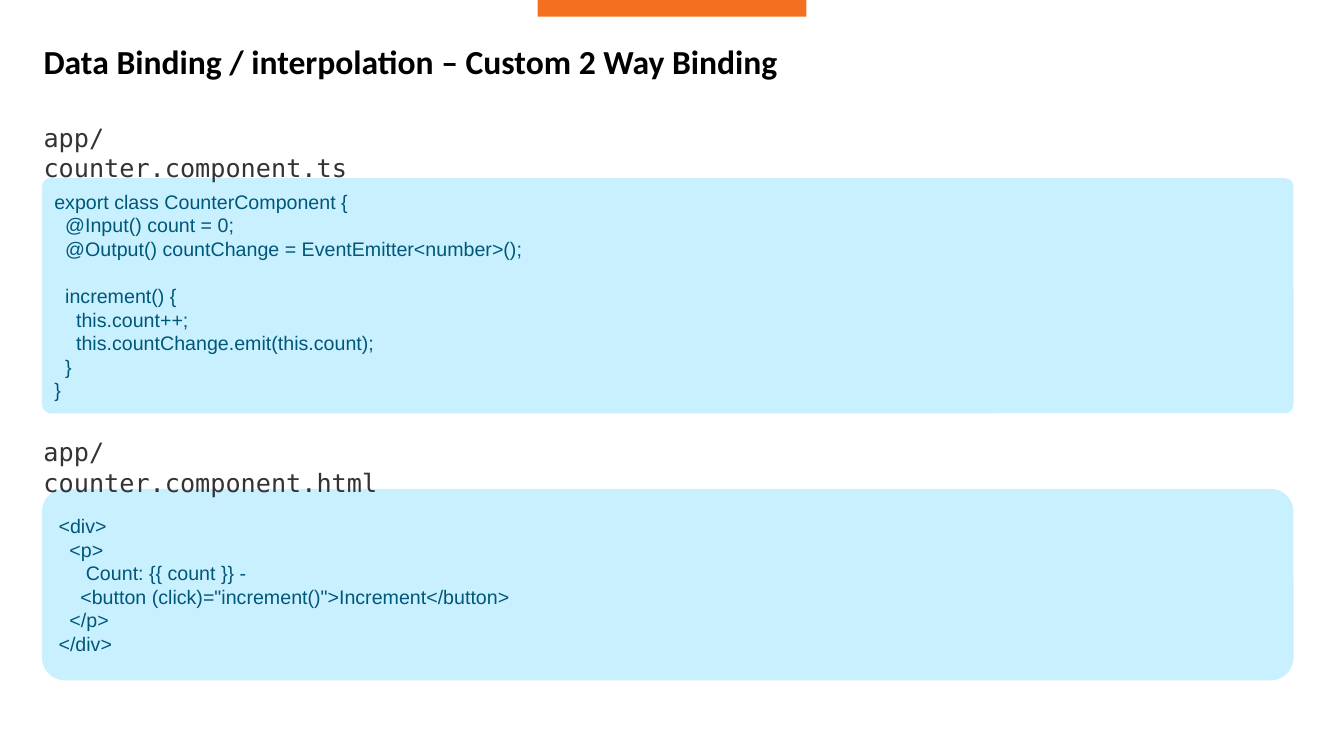
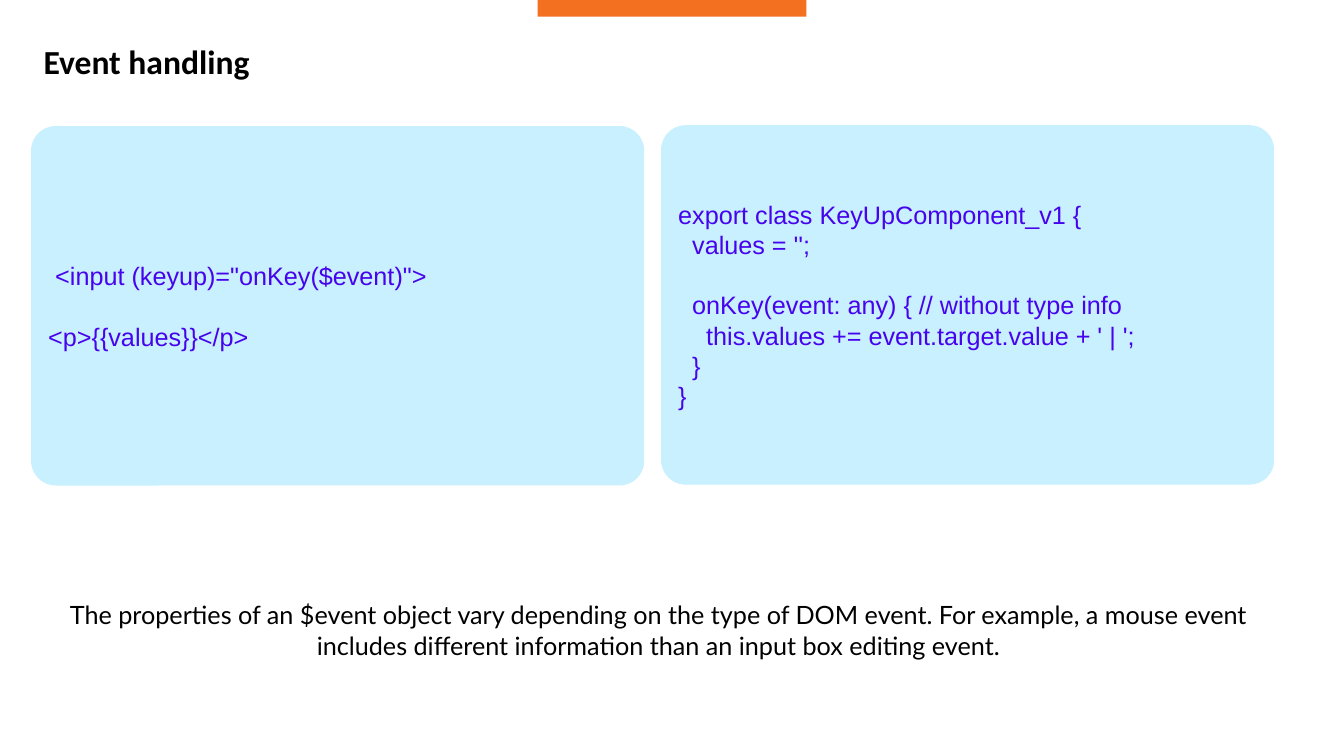
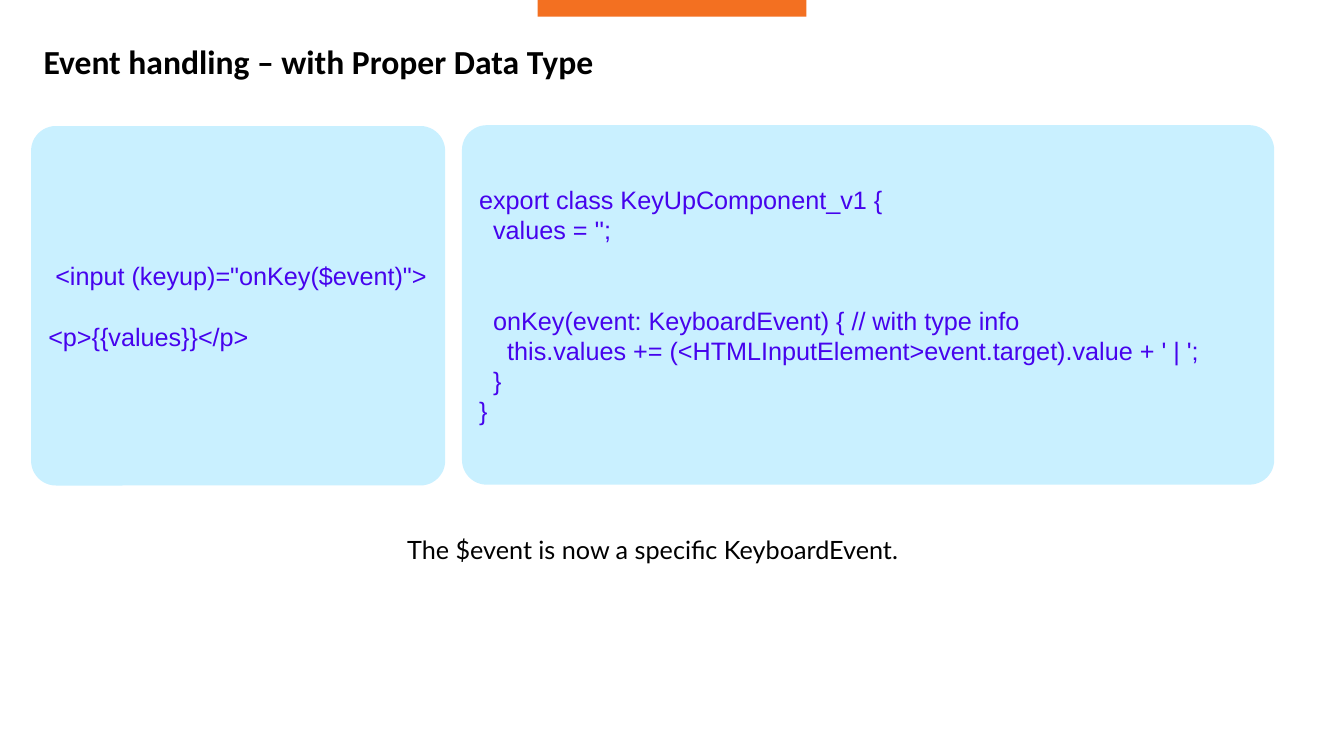
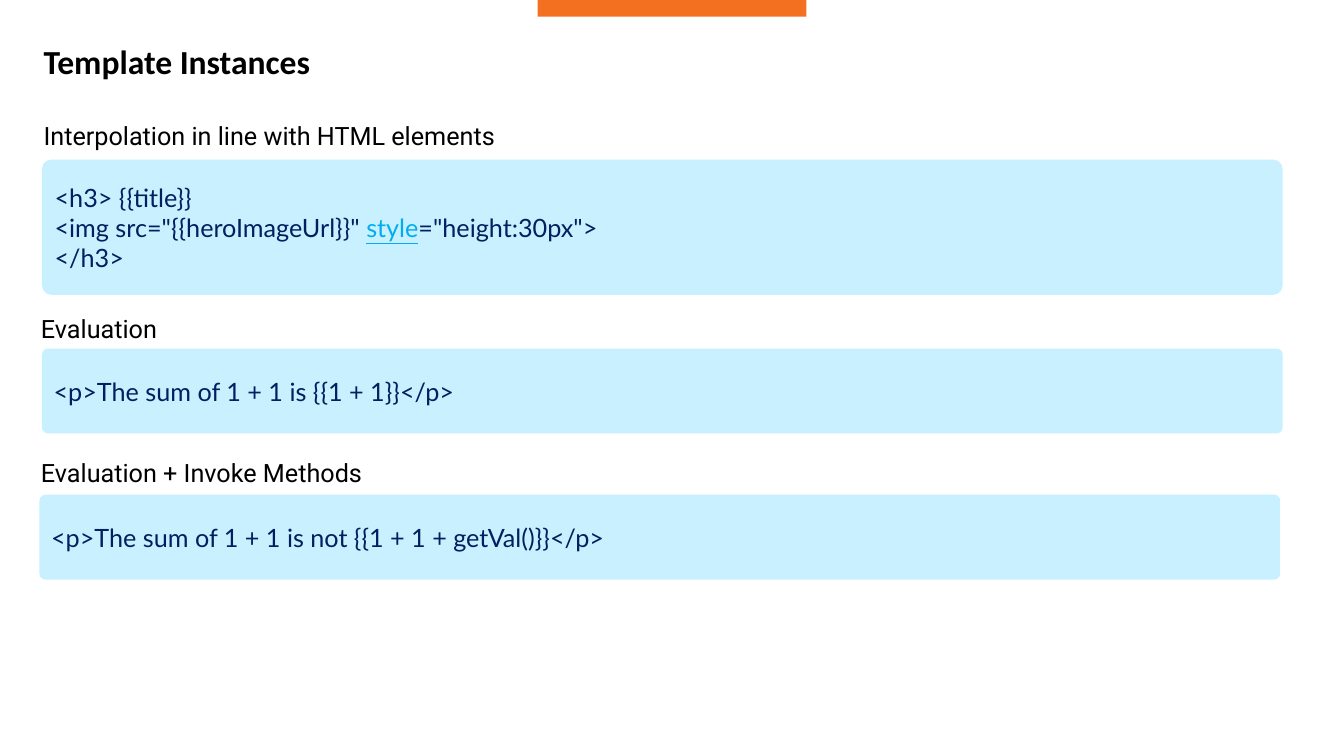
from pptx import Presentation
from pptx.dml.color import RGBColor
from pptx.enum.shapes import MSO_SHAPE
from pptx.enum.text import MSO_ANCHOR, PP_ALIGN
from pptx.util import Inches, Pt

# Grid of 160 columns by 90 rows, each cell a twelfth of an inch
COLS, ROWS = 160, 90
CELL = Inches(1) // 12
COLORS = {"band": "F37021", "card": "C9F0FF", "black": "000000", "label": "333333",
          "teal": "005778", "violet": "4603ED", "navy": "002060", "link": "00AEEF"}
LEADING = 1.2        # line height as a share of the text size
SPACE_WIDTH = 0.278  # width of one code space as a share of the text size

# Text styles
TITLE = dict(font="Calibri", size=24, bold=True, leading=0.8)
FILE_NAME = dict(font="DejaVu Sans Mono", size=18, color="label")
HEADING = dict(font="Roboto", size=18)
CAPTION = dict(font="Lato", size=18, align=PP_ALIGN.CENTER)
SOURCE = dict(font="Arial", size=14, color="teal")
EVENT_CODE = dict(font="Arial", size=18, color="violet")
TEMPLATE_CODE = dict(font="Lato", size=18, color="navy")

COUNTER_TS = """export class CounterComponent {
  @Input() count = 0;
  @Output() countChange = EventEmitter<number>();

  increment() {
    this.count++;
    this.countChange.emit(this.count);
  }
}"""

COUNTER_HTML = """<div>
  <p>
     Count: {{ count }} -
    <button (click)="increment()">Increment</button>
  </p>
</div>"""

KEYUP_HTML = """ <input (keyup)="onKey($event)">

<p>{{values}}</p>"""

KEYUP_UNTYPED = """export class KeyUpComponent_v1 {
  values = '';

  onKey(event: any) { // without type info
    this.values += event.target.value + ' | ';
  }
}"""

KEYUP_TYPED = """export class KeyUpComponent_v1 {
  values = '';


  onKey(event: KeyboardEvent) { // with type info
    this.values += (<HTMLInputElement>event.target).value + ' | ';
  }
}"""

HERO_HTML = """<h3> {{title}}
<img src="{{heroImageUrl}}" style="height:30px">
</h3>"""


def grid(box):
    return [round(v * CELL) for v in box]


def write(tf, text, font, size, color="black", bold=False, align=PP_ALIGN.LEFT,
          leading=None, link=None):
    """Set lines of text; leading spaces become indents, empty lines become gaps."""
    tf.word_wrap = True
    gap, p = 0, None
    for line in text.split("\n"):
        content = line.lstrip(" ")
        if not content:
            gap += 1
            continue
        p = tf.paragraphs[0] if p is None else tf.add_paragraph()
        p.alignment = align
        p.line_spacing = leading or Pt(size * LEADING)
        p.space_before = Pt(gap * size * LEADING)
        indent = (len(line) - len(content)) * size * SPACE_WIDTH
        p._p.get_or_add_pPr().set("marL", str(int(Pt(indent))))
        gap = 0
        before, found, after = content.partition(link) if link else (content, "", "")
        for part in filter(None, (before, found, after)):
            r = p.add_run()
            r.text = part
            f = r.font
            f.name, f.size, f.bold = font, Pt(size), bold
            linked = part == link
            f.underline = linked
            f.color.rgb = RGBColor.from_string(COLORS["link" if linked else color])


def add_text(s, box, text, **style):
    write(s.shapes.add_textbox(*grid(box)).text_frame, text, **style)


def add_block(s, box, kind, color):
    sp = s.shapes.add_shape(kind, *grid(box))
    sp.shadow.inherit = False
    sp.fill.solid()
    sp.fill.fore_color.rgb = RGBColor.from_string(COLORS[color])
    sp.line.fill.background()
    return sp


def add_card(s, box, code, radius=0.069, **style):
    sp = add_block(s, box, MSO_SHAPE.ROUNDED_RECTANGLE, "card")
    sp.adjustments[0] = radius
    sp.text_frame.vertical_anchor = MSO_ANCHOR.MIDDLE
    write(sp.text_frame, code, **style)


def new_slide(prs, title):
    s = prs.slides.add_slide(prs.slide_layouts[6])
    add_block(s, (COLS * 0.4, 0, COLS * 0.2, 2), MSO_SHAPE.RECTANGLE, "band")
    add_text(s, (4, 5.2, 152, 6.8), title, **TITLE)
    return s


def add_section(s, box, label, code, head, label_w, label_style, code_style,
                outdent=1, radius=0.069):
    """A label, then a card in what is left of the box below the head rows."""
    x, y, w, h = box
    add_card(s, (x, y + head, w, h - head), code, radius, **code_style)
    add_text(s, (x - outdent, y, label_w, 4.8), label, **label_style)


def add_panels(s, box, left_w, left_code, right_code):
    """Two cards side by side; the right one takes the remaining width."""
    x, y, w, h = box
    right_x = left_w + 2
    add_card(s, (x, y, left_w, h), left_code, **EVENT_CODE)
    add_card(s, (x + right_x, y - 0.1, w - right_x, h), right_code, **EVENT_CODE)


def counter_slide(prs):
    s = new_slide(prs, "Data Binding / interpolation – Custom 2 Way Binding")
    add_section(s, (5, 14, 149, 35.2), "app/counter.component.ts", COUNTER_TS,
                7.2, 42.4, FILE_NAME, SOURCE, radius=0.036)
    add_section(s, (5, 51.4, 149, 29.6), "app/counter.component.html", COUNTER_HTML,
                6.8, 45.6, FILE_NAME, SOURCE, radius=0.12)


def event_slide(prs, title, left_w, code, caption, caption_box):
    s = new_slide(prs, title)
    add_panels(s, (3.7, 15, 148, 42.8), left_w, KEYUP_HTML, code)
    add_text(s, caption_box, caption, **CAPTION)


def template_slide(prs):
    s = new_slide(prs, "Template Instances")
    styles = HEADING, TEMPLATE_CODE | {"link": "style"}
    add_section(s, (5, 13.7, 147.7, 21.4), "Interpolation in line with HTML elements",
                HERO_HTML, 5.3, 58, *styles)
    add_section(s, (5, 36.7, 147.7, 14.9), "Evaluation",
                "<p>The sum of 1 + 1 is {{1 + 1}}</p>", 4.8, 18, *styles, outdent=1.3)
    add_section(s, (4.7, 53.8, 147.7, 15.2), "Evaluation + Invoke Methods",
                "<p>The sum of 1 + 1 is not {{1 + 1 + getVal()}}</p>", 5.1, 43, *styles)


def main():
    prs = Presentation()
    prs.slide_width, prs.slide_height = COLS * CELL, ROWS * CELL
    counter_slide(prs)
    event_slide(prs, "Event handling", 73, KEYUP_UNTYPED,
                "The properties of an $event object vary depending on the type of DOM event. "
                "For example, a mouse event includes different information than an input box "
                "editing event.", (4.4, 70.8, 148, 8.5))
    event_slide(prs, "Event handling – with Proper Data Type", 49.3, KEYUP_TYPED,
                "The $event is now a specific KeyboardEvent.", (3.7, 63, 148, 4.8))
    template_slide(prs)
    prs.save("out.pptx")


if __name__ == "__main__":
    main()
